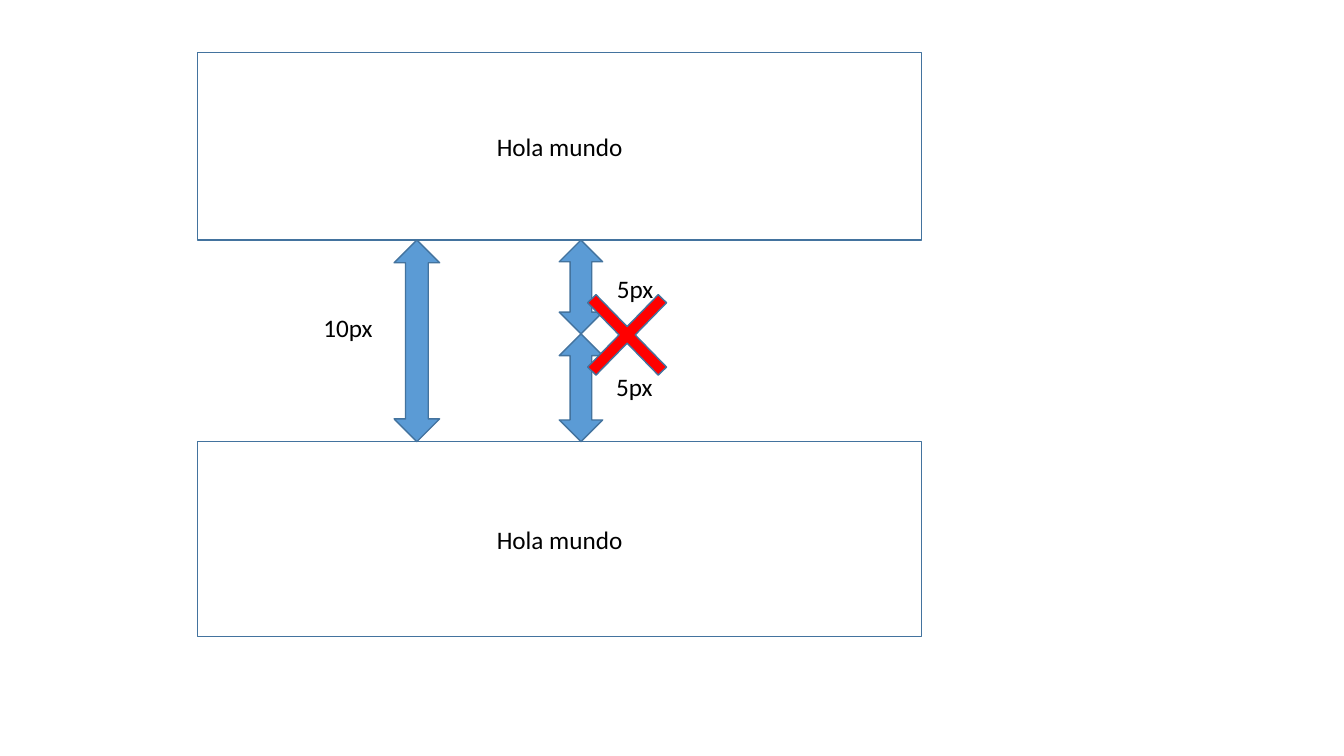
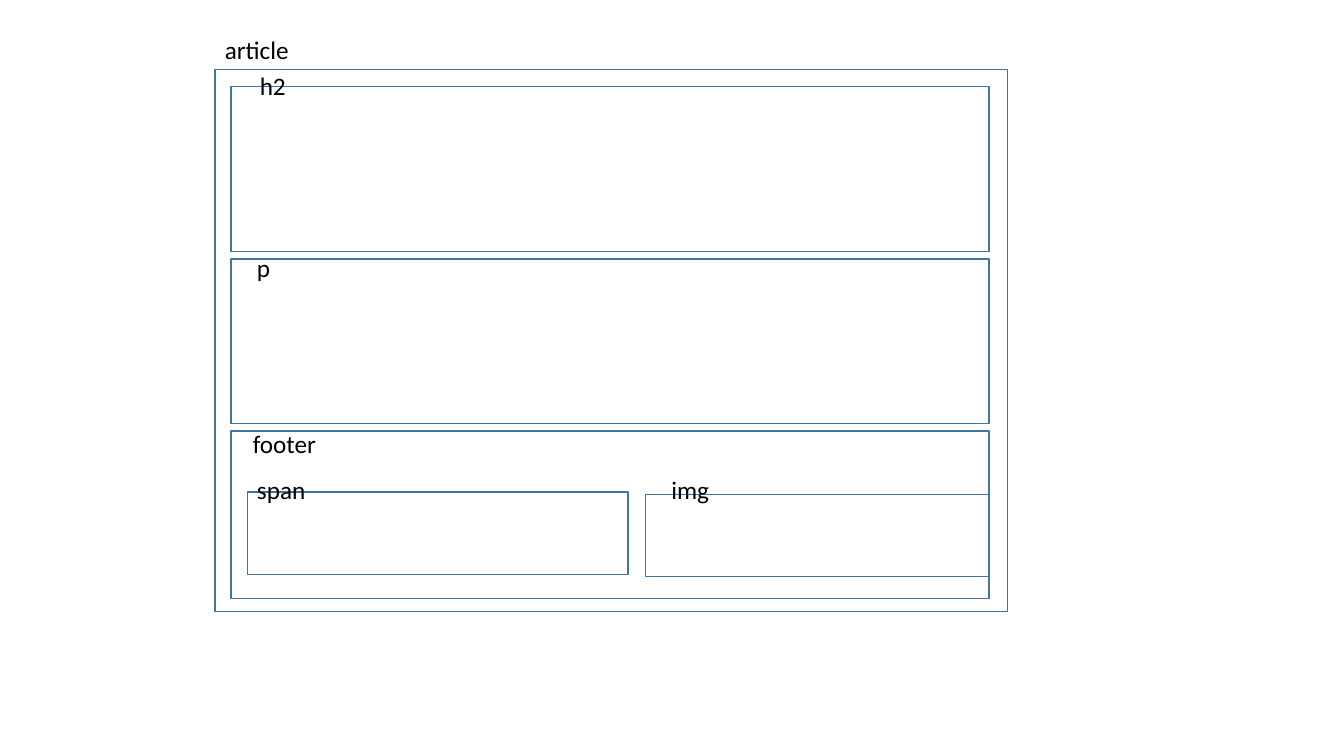
from pptx import Presentation
from pptx.dml.color import RGBColor
from pptx.enum.shapes import MSO_SHAPE
from pptx.enum.text import MSO_ANCHOR, MSO_AUTO_SIZE, PP_ALIGN
from pptx.util import Pt


class Deck:
    """Hold the shared style and the current slide."""

    font, size = "Calibri", 18
    ink, edge, blue, red = "000000", "43739E", "5B9BD5", "FF0000"

    def __init__(self):
        self.prs = Presentation()
        self.prs.slide_width, self.prs.slide_height = Pt(960), Pt(540)
        self.slide = None

    def page(self):
        self.slide = self.prs.slides.add_slide(self.prs.slide_layouts[6])

    def paint(self, target, color):
        target.rgb = RGBColor.from_string(color)

    def letter(self, frame, text, align):
        frame.text = text
        para = frame.paragraphs[0]
        para.alignment = align
        for run in para.runs:
            run.font.name, run.font.size = self.font, Pt(self.size)
            self.paint(run.font.color, self.ink)

    def shape(self, kind, left, top, width, height, fill=None):
        shape = self.slide.shapes.add_shape(
            kind, Pt(left), Pt(top), Pt(width), Pt(height))
        shape.shadow.inherit = False
        if fill:
            shape.fill.solid()
            self.paint(shape.fill.fore_color, fill)
        else:
            shape.fill.background()
        self.paint(shape.line.color, self.edge)
        shape.line.width = Pt(1)
        return shape

    def box(self, left, top, width, height, text=""):
        shape = self.shape(MSO_SHAPE.RECTANGLE, left, top, width, height)
        if text:
            shape.text_frame.vertical_anchor = MSO_ANCHOR.MIDDLE
            self.letter(shape.text_frame, text, PP_ALIGN.CENTER)

    def arrow(self, left, top, width, height):
        self.shape(MSO_SHAPE.UP_DOWN_ARROW, left, top, width, height, self.blue)

    def cross(self, left, top, width, height):
        shape = self.shape(
            MSO_SHAPE.MATH_MULTIPLY, left, top, width, height, self.red)
        shape.adjustments[0] = 0.085

    def label(self, text, left, top, width):
        area = self.slide.shapes.add_textbox(
            Pt(left), Pt(top), Pt(width), Pt(29))
        frame = area.text_frame
        frame.word_wrap = True
        frame.auto_size = MSO_AUTO_SIZE.SHAPE_TO_FIT_TEXT
        self.letter(frame, text, PP_ALIGN.LEFT)


def margins(deck):
    deck.page()
    upper, split, lower = 171.5, 238.5, 315.5
    for top, height in ((37.5, upper - 37.5), (lower, 139)):
        deck.box(141, top, 517.5, height, "Hola mundo")
    deck.arrow(281.5, upper, 32.5, lower - upper)
    for top, end in ((upper, split), (split, lower)):
        deck.arrow(399.5, top, 31, end - top)
    deck.cross(399.5, 189.5, 97, 99.5)
    for text, left, top in (
            ("10px", 224, 219.5), ("5px", 433.5, 191.5), ("5px", 433, 261.5)):
        deck.label(text, left, top, 66)


def layout(deck):
    deck.page()
    deck.box(153.5, 49.5, 566, 387.5)
    left, top, width, gap = 165, 62, 541.5, 5.5
    for height in (117.5, 117.5, 119.5):
        deck.box(left, top, width, height)
        top += height + gap
    deck.box(177, 351.5, 271.5, 59)
    deck.box(461, 353, left + width - 461, 59)
    for text, x, y in (
            ("article", 153.5, 21), ("h2", 178.5, 47), ("p", 176.5, 177),
            ("footer", 173.5, 302.5), ("span", 176.5, 335.5),
            ("img", 472.5, 335.5)):
        deck.label(text, x, y, 96.5)


def main():
    deck = Deck()
    margins(deck)
    layout(deck)
    deck.prs.save("out.pptx")


if __name__ == "__main__":
    main()
